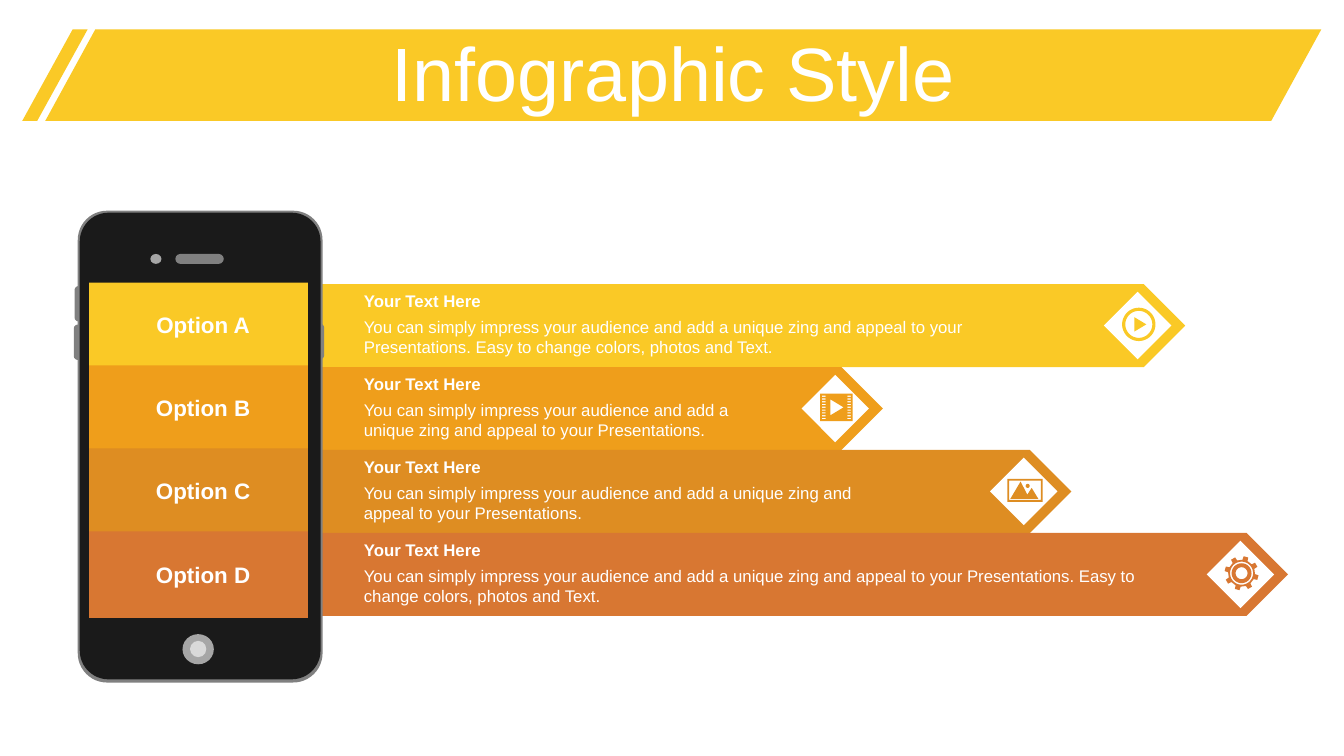
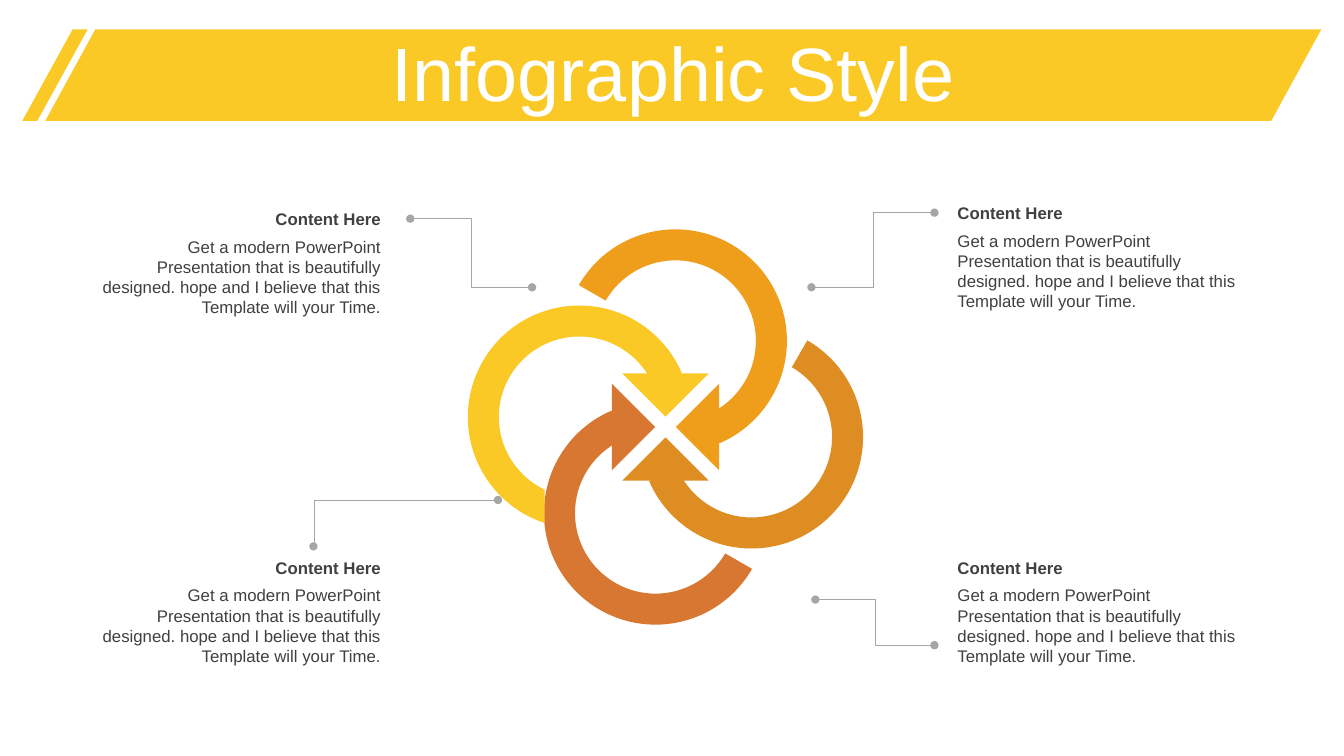
from math import cos, radians, sin

from lxml.etree import SubElement
from pptx import Presentation
from pptx.dml.color import RGBColor
from pptx.enum.shapes import MSO_CONNECTOR, MSO_SHAPE
from pptx.enum.text import MSO_ANCHOR, MSO_AUTO_SIZE, PP_ALIGN
from pptx.oxml.ns import qn
from pptx.util import Cm, Pt

YELLOW = RGBColor(0xFA, 0xC9, 0x26)
AMBER = RGBColor(0xEF, 0x9E, 0x1B)
OCHRE = RGBColor(0xDE, 0x8D, 0x22)
RUST = RGBColor(0xD8, 0x77, 0x32)
PALETTE = (YELLOW, AMBER, OCHRE, RUST)
WHITE = RGBColor(0xFF, 0xFF, 0xFF)
BLACK = RGBColor(0x1A, 0x1A, 0x1A)
INK = RGBColor(0x40, 0x40, 0x40)
DARK_GREY = RGBColor(0x80, 0x80, 0x80)
GREY = RGBColor(0xA6, 0xA6, 0xA6)
LIGHT_GREY = RGBColor(0xD9, 0xD9, 0xD9)
FONT = "Arial"
TITLE = "Infographic Style"

PITCH = 2.09
SHORT = "You can simply impress your audience and add a unique zing and appeal to your Presentations."
LONG = SHORT + " Easy to change colors, photos and Text."
CONTENT = ("Get a modern PowerPoint Presentation that is beautifully designed. "
           "hope and I believe that this Template will your Time.")


def paint(sp, color):
    """Give a shape a flat fill without line or shadow."""
    sp.shadow.inherit = False
    sp.fill.solid()
    sp.fill.fore_color.rgb = color
    sp.line.fill.background()
    return sp


def add_box(s, kind, x, y, w, h, color, adj=(), rotation=0):
    """Add a flat preset shape measured in centimetres."""
    sp = paint(s.shapes.add_shape(kind, Cm(x), Cm(y), Cm(w), Cm(h)), color)
    for i, value in enumerate(adj):
        sp.adjustments[i] = value
    sp.rotation = rotation
    return sp


def add_outline(s, cx, cy, contours, color):
    """Add one freeform made of closed contours around a centre."""
    builder = None
    for contour in contours:
        points = [(Cm(cx + x), Cm(cy + y)) for x, y in contour]
        if builder is None:
            builder = s.shapes.build_freeform(*points[0])
        else:
            builder.move_to(*points[0])
        builder.add_line_segments(points[1:], close=True)
    return paint(builder.convert_to_shape(), color)


def style_text(tf, text, size, color, bold=False, align=PP_ALIGN.LEFT):
    """Fill a text frame with one formatted paragraph."""
    tf.word_wrap = True
    tf.text = text
    p = tf.paragraphs[0]
    p.alignment = align
    p.space_before = Pt(0)
    font = p.runs[0].font
    font.name, font.size, font.bold = FONT, Pt(size), bold
    font.color.rgb = color
    return p


def add_caption(s, x, y, w, heading, body, gap, color, align=PP_ALIGN.LEFT, inset=0.25):
    """Add a bold heading with a body text below it."""
    for text, top, h, bold in ((heading, y, 0.76, True), (body, y + gap, 1.27, False)):
        tf = s.shapes.add_textbox(Cm(x), Cm(top), Cm(w), Cm(h)).text_frame
        style_text(tf, text, 12, color, bold, align)
        tf.margin_left = Cm(inset)


def arc(r, start=0, end=360, x=0, y=0):
    """Return points along an arc, angles running clockwise."""
    steps = 60
    angles = [radians(start + (end - start) * i / steps) for i in range(steps + 1)]
    return [(x + r * cos(a), y + r * sin(a)) for a in angles]


def rect(w, h, x=0, y=0):
    """Return the corners of a rectangle centred on a point."""
    return [(x + sx * w / 2, y + sy * h / 2) for sx, sy in ((-1, -1), (1, -1), (1, 1), (-1, 1))]


def play_icon():
    """Return the contours of a play button."""
    return [arc(0.42), arc(0.34), [(-0.11, -0.18), (0.19, 0), (-0.11, 0.18)]]


def film_icon():
    """Return the contours of a film frame."""
    holes = [rect(0.09, 0.03, side * 0.32, row * 0.07) for side in (-1, 1) for row in range(-4, 5)]
    return [rect(0.82, 0.69), [(-0.15, -0.2), (0.18, 0), (-0.15, 0.2)]] + holes


def photo_icon():
    """Return the contours of a framed landscape."""
    hills = [(-0.37, 0.22), (-0.11, -0.22), (0.06, 0.11), (0.17, -0.06), (0.34, 0.22)]
    return [rect(0.89, 0.58), rect(0.8, 0.49), hills, arc(0.05, x=0.07, y=-0.11)]


def gear_icon():
    """Return the contours of an eight-tooth gear."""
    teeth = []
    for k in range(8):
        for r, turn in ((0.34, -11), (0.43, -8), (0.43, 8), (0.34, 11)):
            a = radians(15 + 45 * k + turn)
            teeth.append((r * cos(a), r * sin(a)))
    return [teeth, arc(0.29), arc(0.25), arc(0.15)]


def add_banner(s, layout):
    """Draw the title band and hand it over to the layout."""
    for x, w, slant in ((1.14, 32.16, 0.547), (0.56, 1.65, 0.771)):
        sp = add_box(s, MSO_SHAPE.PARALLELOGRAM, x, 0.74, w, 2.31, YELLOW, (slant,))
        layout.shapes.element.append(sp.element)


def add_titled_slide(prs, layout):
    """Add a slide with its title set in the band."""
    s = prs.slides.add_slide(layout)
    title = s.shapes.title
    title.left, title.top, title.width, title.height = Cm(0.89), Cm(0.94), Cm(32.16), Cm(2.01)
    tf = title.text_frame
    tf.auto_size = MSO_AUTO_SIZE.NONE
    tf.vertical_anchor = MSO_ANCHOR.MIDDLE
    p = style_text(tf, TITLE, 54, WHITE, align=PP_ALIGN.CENTER)
    p.line_spacing = 0.9
    return s


def add_option_bar(s, x, y, end, text_w, body, icon, color):
    """Add an arrow bar with its caption and icon."""
    add_box(s, MSO_SHAPE.PENTAGON, x, y, end - x, PITCH, color)
    cx, cy = end - 1.2, y + PITCH / 2
    add_box(s, MSO_SHAPE.DIAMOND, cx - 0.85, cy - 0.85, 1.7, 1.7, WHITE)
    add_outline(s, cx + 0.03, cy - 0.03, icon, color)
    add_caption(s, x + 0.84, y + 0.05, text_w, "Your Text Here", body, 0.64, WHITE)


def add_phone(s, x, y):
    """Add a phone whose screen lists the options."""
    pill, oval = MSO_SHAPE.ROUNDED_RECTANGLE, MSO_SHAPE.OVAL
    parts = (
        (pill, -0.08, 1.9, 0.19, 0.89, DARK_GREY, (0.5,)),
        (pill, -0.1, 2.87, 0.19, 0.89, DARK_GREY, (0.5,)),
        (pill, 6.02, 2.85, 0.19, 0.89, DARK_GREY, (0.5,)),
        (pill, 0, 0, 6.17, 11.89, DARK_GREY, (0.12,)),
        (pill, 0.05, 0.05, 6.07, 11.76, BLACK, (0.12,)),
        (pill, 2.46, 1.09, 1.22, 0.25, DARK_GREY, (0.5,)),
        (oval, 1.83, 1.09, 0.28, 0.25, GREY, ()),
        (oval, 2.64, 10.67, 0.79, 0.76, GREY, ()),
        (oval, 2.83, 10.84, 0.41, 0.41, LIGHT_GREY, ()),
    )
    for kind, dx, dy, w, h, color, adj in parts:
        add_box(s, kind, x + dx, y + dy, w, h, color, adj)
    for k, (letter, color) in enumerate(zip("ABCD", PALETTE)):
        h = 2.18 if k == 3 else PITCH + 0.02
        sp = add_box(s, MSO_SHAPE.RECTANGLE, x + 0.29, y + 1.81 + k * PITCH, 5.51, h, color)
        style_text(sp.text_frame, f"Option {letter}", 16, WHITE, True, PP_ALIGN.CENTER)
        sp.text_frame.margin_left = Cm(0.48)
        sp.text_frame.vertical_anchor = MSO_ANCHOR.MIDDLE


def add_knot(s, cx, cy):
    """Add four interlaced ring arrows around a centre."""
    r, thickness = 2.81, 0.139
    ring, tip = (-2.17, -0.25), (0, -1.35)
    for k in (3, 2, 1, 0):
        (rx, ry), (tx, ty) = ring, tip
        for _ in range(k):
            rx, ry, tx, ty = -ry, rx, -ty, tx
        if k:
            add_box(s, MSO_SHAPE.BLOCK_ARC, cx + rx - r, cy + ry - r, 2 * r, 2 * r, PALETTE[k],
                    (120 * 0.6, 336.7 * 0.6, thickness), 90 * k)
        else:
            band = arc(r, 108.2, 336.7) + arc(r * (1 - 2 * thickness), 336.7, 115.6)
            add_outline(s, cx + rx, cy + ry, [band], PALETTE[k])
        add_box(s, MSO_SHAPE.RIGHT_TRIANGLE, cx + tx - 0.77, cy + ty - 0.77, 1.54, 1.54,
                PALETTE[k], rotation=(315 + 90 * k) % 360)


def add_leader(s, x1, y1, x2, y2, bend=0.5):
    """Add a thin elbow line with round ends."""
    c = s.shapes.add_connector(MSO_CONNECTOR.ELBOW, Cm(x1), Cm(y1), Cm(x2), Cm(y2))
    c.line.color.rgb = GREY
    c.line.width = Pt(0.5)
    props = c.element.spPr
    for end in ("a:headEnd", "a:tailEnd"):
        SubElement(props.find(qn("a:ln")), qn(end), type="oval")
    guides = props.find(qn("a:prstGeom")).find(qn("a:avLst"))
    SubElement(guides, qn("a:gd"), name="adj1", fmla=f"val {round(bend * 100000)}")
    SubElement(props, qn("a:effectLst"))


def build_phone_slide(s):
    """Fill the slide that lists the options of a phone."""
    bars = ((29.87, 16.03, LONG, play_icon()), (22.25, 9.73, SHORT, film_icon()),
            (27, 12.88, SHORT, photo_icon()), (32.46, 20.07, LONG, gear_icon()))
    for k, (end, text_w, body, icon) in enumerate(bars):
        add_option_bar(s, 8.08, 7.16 + k * PITCH, end, text_w, body, icon, PALETTE[k])
    add_phone(s, 1.96, 5.31)


def build_knot_slide(s):
    """Fill the slide with ring arrows and four captions."""
    add_knot(s, 16.77, 10.76)
    left, right = (2.26, PP_ALIGN.RIGHT), (24.13, PP_ALIGN.LEFT)
    for (x, align), y in ((left, 5.13), (right, 4.98), (left, 13.92), (right, 13.92)):
        add_caption(s, x, y, 7.59, "Content Here", CONTENT, 0.7, INK, align, 0)
    add_leader(s, 20.45, 7.24, 23.55, 5.36)
    add_leader(s, 23.55, 16.26, 20.55, 15.11)
    add_leader(s, 7.9, 13.77, 12.55, 12.6, 0.006)
    add_leader(s, 10.34, 5.51, 13.41, 7.24)


def main():
    """Build and save the presentation."""
    prs = Presentation()
    prs.slide_width, prs.slide_height = Cm(33.87), Cm(19.05)
    layout = prs.slide_layouts[5]
    phone, knot = [add_titled_slide(prs, layout) for _ in range(2)]
    add_banner(phone, layout)
    build_phone_slide(phone)
    build_knot_slide(knot)
    prs.save("out.pptx")


if __name__ == "__main__":
    main()
